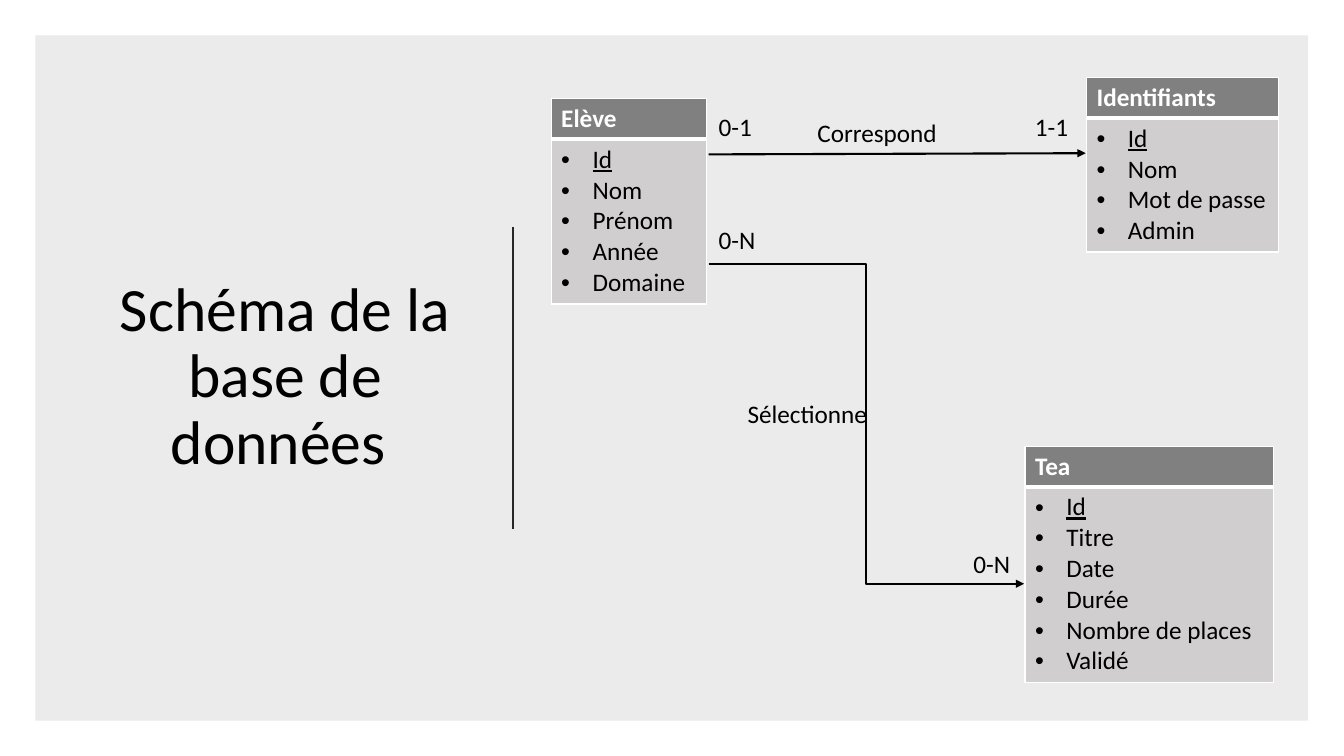
import pptx
import pptx.util
import pptx.dml.color
import pptx.enum.shapes
import pptx.enum.text
import pptx.oxml
import pptx.oxml.ns
import lxml.etree

Cm, Pt = pptx.util.Cm, pptx.util.Pt
CONNECTOR = pptx.enum.shapes.MSO_CONNECTOR
qn = pptx.oxml.ns.qn

# Content: lengths in centimetres
COLORS = {"panel": "EBEBEB", "header": "808080", "body": "D0CECE",
          "text": "000000", "white": "FFFFFF", "divider": "262626"}
FONT = "Calibri"
TITLE = "Schéma de la base de données\u00a0"
ENTITIES = [  # name, left, top, width, fields (the first is the key)
    ("Elève", 13.89, 2.49, 3.91, ["Id", "Nom", "Prénom", "Année", "Domaine"]),
    ("Tea", 25.83, 11.25, 6.27,
     ["Id", "Titre", "Date", "Durée", "Nombre de places", "Validé"]),
    ("Identifiants", 27.38, 1.96, 4.83, ["Id", "Nom", "Mot de passe", "Admin"]),
]
LINES = [  # kind, start, end, colour, arrow
    (CONNECTOR.STRAIGHT, (12.93, 5.72), (12.93, 13.34), "divider", False),
    (CONNECTOR.ELBOW, (17.86, 6.65), (25.81, 14.71), "text", True),
    (CONNECTOR.STRAIGHT, (17.86, 3.89), (27.36, 3.86), "text", True),
]
LABELS = [  # text, left, top, width
    ("Sélectionne", 18.59, 9.91, 7.62), ("Correspond", 20.35, 2.84, 7.62),
    ("0-1", 17.86, 2.67, 1.68), ("1-1", 25.83, 2.67, 1.68),
    ("0-N", 17.86, 5.54, 1.68), ("0-N", 24.28, 13.69, 1.68),
]
HEADER_HEIGHT, FIELD_HEIGHT, CELL_PADDING, INDENT = 1.02, 0.78, 0.25, 0.79


def rgb(name):
    return pptx.dml.color.RGBColor.from_string(COLORS[name])


def add_run(paragraph, text, size=18, color="text", bold=False, underline=False):
    run = paragraph.add_run()
    run.text = text
    font = run.font
    font.name, font.size, font.bold = FONT, Pt(size), bold
    if underline:
        font.underline = True
    font.color.rgb = rgb(color)


def add_text(text, left, top, width, height, size=18):
    box = slide.shapes.add_textbox(Cm(left), Cm(top), Cm(width), Cm(height))
    box.text_frame.word_wrap = True
    add_run(box.text_frame.paragraphs[0], text, size)
    return box.text_frame


def style_cell(cell, fill, top, bottom):
    properties = cell._tc.get_or_add_tcPr()
    for side, width in (("L", 1), ("R", 1), ("T", top), ("B", bottom)):
        border = lxml.etree.SubElement(properties, qn(f"a:ln{side}"), w=str(Pt(width)))
        paint = lxml.etree.SubElement(border, qn("a:solidFill"))
        lxml.etree.SubElement(paint, qn("a:srgbClr"), val=COLORS["white"])
    cell.fill.solid()
    cell.fill.fore_color.rgb = rgb(fill)


def add_bullet(paragraph):
    properties = paragraph._p.get_or_add_pPr()
    properties.set("marL", str(Cm(INDENT)))
    properties.set("indent", str(-Cm(INDENT)))
    lxml.etree.SubElement(properties, qn("a:buFont"), typeface="Arial")
    lxml.etree.SubElement(properties, qn("a:buChar"), char="•")


def add_entity(name, left, top, width, fields):
    heights = HEADER_HEIGHT, CELL_PADDING + FIELD_HEIGHT * len(fields)
    table = slide.shapes.add_table(2, 1, Cm(left), Cm(top), Cm(width),
                                   Cm(sum(heights))).table
    table.horz_banding = False
    for row, height in zip(table.rows, heights):
        row.height = Cm(height)
    header, body = table.cell(0, 0), table.cell(1, 0)
    style_cell(header, "header", 1, 3)
    style_cell(body, "body", 3, 1)
    add_run(header.text_frame.paragraphs[0], name, color="white", bold=True)
    for index, field in enumerate(fields):
        frame = body.text_frame
        paragraph = frame.add_paragraph() if index else frame.paragraphs[0]
        add_bullet(paragraph)
        add_run(paragraph, field, underline=index == 0)


def add_line(kind, start, end, color, arrow):
    connector = slide.shapes.add_connector(kind, *map(Cm, start + end))
    connector.line.color.rgb = rgb(color)
    connector.line.width = Pt(1.5)
    if arrow:
        lxml.etree.SubElement(connector.line._get_or_add_ln(), qn("a:tailEnd"),
                              type="triangle")
    lxml.etree.SubElement(connector._element.spPr, qn("a:effectLst"))


# Slide and background panel
presentation = pptx.Presentation()
presentation.slide_width, presentation.slide_height = Cm(33.87), Cm(19.05)
slide = presentation.slides.add_slide(presentation.slide_layouts[6])
panel = slide.shapes.add_shape(pptx.enum.shapes.MSO_SHAPE.RECTANGLE,
                               Cm(0.89), Cm(0.89), Cm(32.08), Cm(17.27))
panel.shadow.inherit = False
panel.fill.solid()
panel.fill.fore_color.rgb = rgb("panel")
panel.line.fill.background()

# Title
title = add_text(TITLE, 2.34, 2.67, 9.7, 13.69, 44)
title.vertical_anchor = pptx.enum.text.MSO_ANCHOR.MIDDLE
title.paragraphs[0].alignment = pptx.enum.text.PP_ALIGN.CENTER
title.paragraphs[0].line_spacing = 0.9

# Entities, relations and their labels
for entity in ENTITIES:
    add_entity(*entity)
for line in LINES:
    add_line(*line)
for label in LABELS:
    add_text(*label, HEADER_HEIGHT)

presentation.save("out.pptx")
